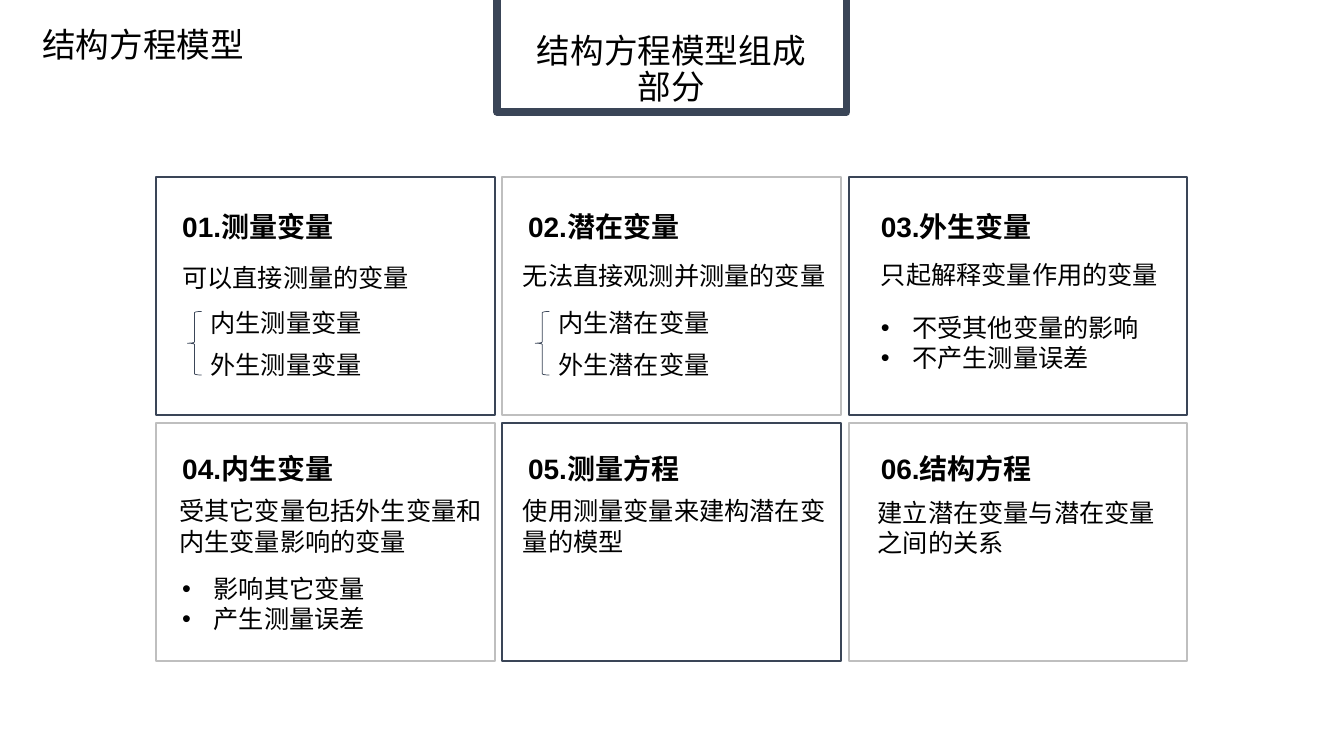
from dataclasses import dataclass

from lxml import etree
from pptx import Presentation
from pptx.dml.color import RGBColor
from pptx.enum.shapes import MSO_SHAPE
from pptx.enum.text import MSO_ANCHOR, MSO_AUTO_SIZE, PP_ALIGN
from pptx.oxml.ns import qn
from pptx.util import Pt

RECTANGLE = MSO_SHAPE.RECTANGLE
LEFT_BRACE = MSO_SHAPE.LEFT_BRACE
TOP, MIDDLE, BOTTOM = MSO_ANCHOR.TOP, MSO_ANCHOR.MIDDLE, MSO_ANCHOR.BOTTOM
LEFT, CENTER = PP_ALIGN.LEFT, PP_ALIGN.CENTER
FIT_SHAPE, NO_FIT = MSO_AUTO_SIZE.SHAPE_TO_FIT_TEXT, MSO_AUTO_SIZE.NONE


@dataclass(frozen=True)
class Theme:
    navy: RGBColor = RGBColor(0x3A, 0x45, 0x57)
    grey: RGBColor = RGBColor(0xBF, 0xBF, 0xBF)
    white: RGBColor = RGBColor(0xFF, 0xFF, 0xFF)
    black: RGBColor = RGBColor(0x00, 0x00, 0x00)
    body_font: str = "Noto Sans CJK SC"
    heading_font: str = "Arial"
    title_font: str = "Montserrat"
    body_size: int = 18
    heading_size: int = 20
    title_size: int = 24
    bullet_indent: float = 22.5


class SlideBuilder:
    def __init__(self, slide, theme):
        self.slide = slide
        self.theme = theme

    def outline(self, kind, box, color, width, fill=None):
        shape = self.slide.shapes.add_shape(kind, *map(Pt, box))
        shape.shadow.inherit = False
        shape.line.color.rgb = color
        shape.line.width = Pt(width)
        if fill is None:
            shape.fill.background()
        else:
            shape.fill.solid()
            shape.fill.fore_color.rgb = fill

    def text(self, box, lines, frame_format, font_format, paragraph_format=None, bullet=False):
        frame = self.slide.shapes.add_textbox(*map(Pt, box)).text_frame
        for name, value in frame_format.items():
            setattr(frame, name, value)
        for index, (line, font_name) in enumerate(lines):
            paragraph = frame.add_paragraph() if index else frame.paragraphs[0]
            for name, value in (paragraph_format or {"alignment": LEFT}).items():
                setattr(paragraph, name, value)
            if bullet:
                self.add_bullet(paragraph)
            run = paragraph.add_run()
            run.text = line
            run.font.color.rgb = self.theme.black
            for name, value in {**font_format, "name": font_name}.items():
                setattr(run.font, name, value)
            east_asian = etree.SubElement(run._r.get_or_add_rPr(), qn("a:ea"))
            east_asian.set("typeface", self.theme.body_font)

    def add_bullet(self, paragraph):
        properties = paragraph._p.get_or_add_pPr()
        indent = Pt(self.theme.bullet_indent)
        properties.set("marL", str(indent))
        properties.set("indent", str(-indent))
        etree.SubElement(properties, qn("a:buFont")).set("typeface", "Arial")
        etree.SubElement(properties, qn("a:buChar")).set("char", "•")

    def title(self, box, line, font_name):
        self.text(box, [(line, font_name)],
                  {"word_wrap": True, "auto_size": NO_FIT, "vertical_anchor": BOTTOM},
                  {"size": Pt(self.theme.title_size)},
                  {"alignment": CENTER, "line_spacing": 0.9})

    def heading(self, box, line):
        self.text(box, [(line, self.theme.heading_font)],
                  {"word_wrap": True, "auto_size": NO_FIT, "vertical_anchor": MIDDLE},
                  {"size": Pt(self.theme.heading_size), "bold": True})

    def body(self, box, lines, wrap=False, bullet=False):
        self.text(box, lines,
                  {"word_wrap": wrap, "auto_size": FIT_SHAPE, "vertical_anchor": TOP},
                  {"size": Pt(self.theme.body_size)}, bullet=bullet)

    def brace_pair(self, left, top, lines):
        self.outline(LEFT_BRACE, (left, top, 10.1, 45.4), self.theme.navy, 0.5)
        for index, line in enumerate(lines):
            self.body((left + 9.4, top - 6.5 + index * 29.9, 123.8, 28.8),
                      [(line, self.theme.body_font)])


CARD_LEFT, CARD_TOP = 111.6, 126.7
CARD_WIDTH, CARD_HEIGHT = 241.9, 169.9
COLUMN_STEP, ROW_STEP = 247.3, 175.7
COLUMNS = 3
HEADING_LEFTS = (123.1, 370.1, 622.1)
HEADING_TOPS = (144.4, 317)

CARDS = [
    ("01.测量变量", "可以直接测量的变量", (123.1, 183.6, 177.8, 28.8)),
    ("02.潜在变量", "无法直接观测并测量的变量", (366.5, 182.2, 232.6, 28.8)),
    ("03.外生变量", "只起解释变量作用的变量", (622.1, 181.4, 214.6, 28.8)),
    ("04.内生变量", "受其它变量包括外生变量和内生变量影响的变量", (121, 350.6, 230.4, 51.1)),
    ("05.测量方程", "使用测量变量来建构潜在变量的模型", (366.5, 350.6, 232.6, 51.1)),
    ("06.结构方程", "建立潜在变量与潜在变量之间的关系", (619.9, 351.4, 214.6, 51.1)),
]


def main():
    theme = Theme()
    presentation = Presentation()
    presentation.slide_width, presentation.slide_height = Pt(960), Pt(540)
    slide = presentation.slides.add_slide(presentation.slide_layouts[6])
    builder = SlideBuilder(slide, theme)

    builder.outline(RECTANGLE, (355, -43.2, 249.8, 123.1), theme.navy, 5.5, theme.white)
    builder.title((370.1, 30.2, 218.9, 49.7), "结构方程模型组成部分", theme.title_font)
    builder.title((10.8, 0, 182.9, 49.7), "结构方程模型", theme.body_font)

    for index, (heading, description, description_box) in enumerate(CARDS):
        row, column = divmod(index, COLUMNS)
        card_box = (CARD_LEFT + column * COLUMN_STEP, CARD_TOP + row * ROW_STEP,
                    CARD_WIDTH, CARD_HEIGHT)
        builder.outline(RECTANGLE, card_box, theme.grey if index % 2 else theme.navy, 1.5)
        builder.heading((HEADING_LEFTS[column], HEADING_TOPS[row], 163.4, 34.6), heading)
        builder.body(description_box, [(description, theme.body_font)], wrap=row == 1)

    builder.brace_pair(133.9, 222.5, ["内生测量变量", "外生测量变量"])
    builder.brace_pair(382.3, 222.5, ["内生潜在变量", "外生潜在变量"])
    builder.body((622.1, 219.6, 200.9, 51.1),
                 [("不受其他变量的影响", theme.body_font), ("不产生测量误差", theme.body_font)],
                 bullet=True)
    builder.body((123.1, 406.1, 146.2, 51.1),
                 [("影响其它变量", theme.heading_font), ("产生测量误差", theme.body_font)],
                 bullet=True)

    presentation.save("out.pptx")


if __name__ == "__main__":
    main()
